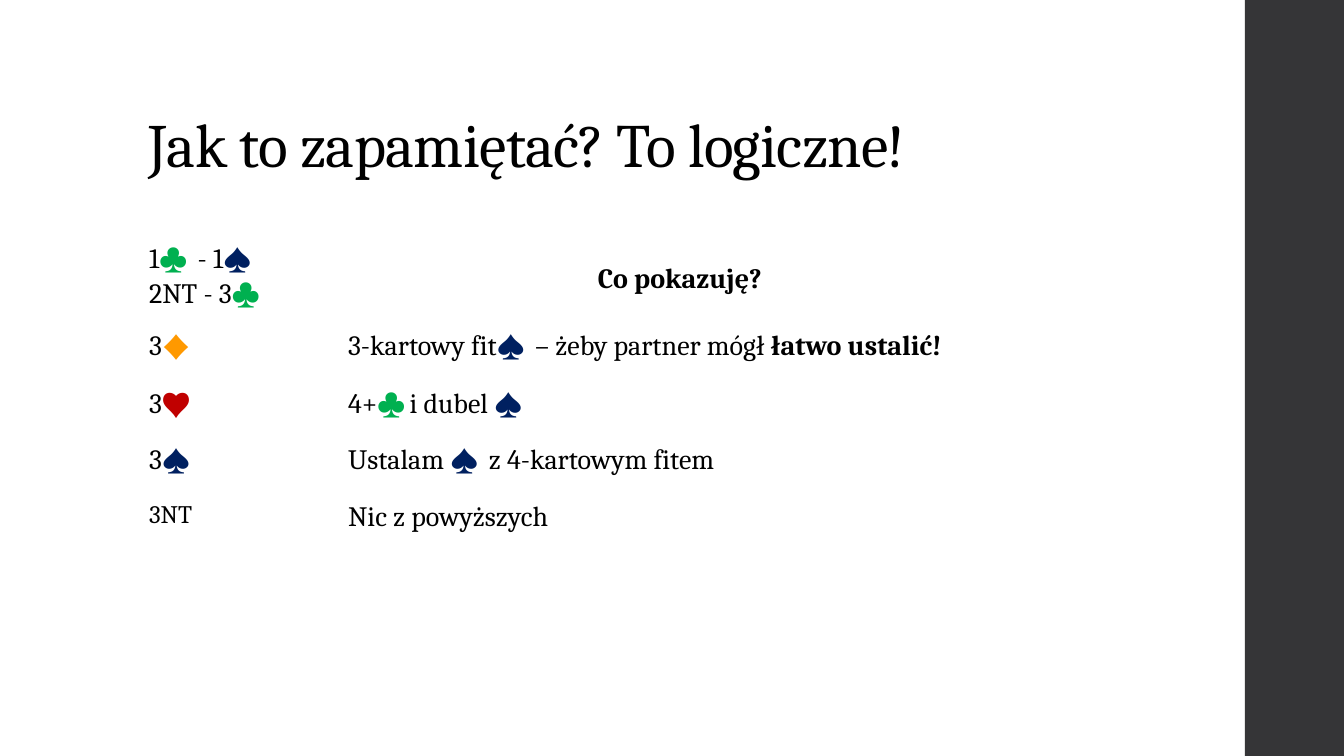
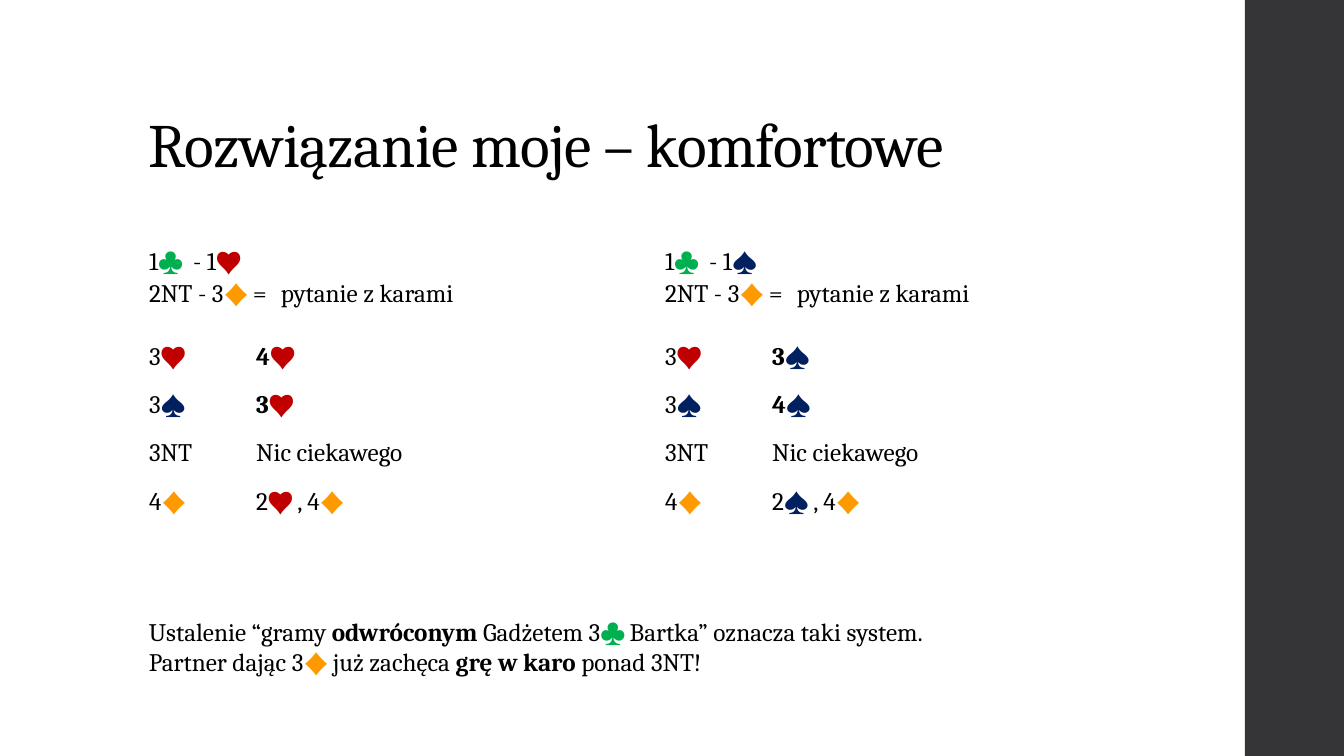
import itertools

import pptx
import pptx.dml.color
import pptx.enum.shapes
import pptx.enum.text
import pptx.util

PX = 12192000 / 1344  # EMU in one px
MIDDLE = pptx.enum.text.MSO_ANCHOR.MIDDLE
BOTTOM = pptx.enum.text.MSO_ANCHOR.BOTTOM
CENTER = pptx.enum.text.PP_ALIGN.CENTER


class Theme:
    text, band = "000000", "353537"
    suits = {"♣": "00B050", "♦": "FF9900", "♥": "C00000", "♠": "002060"}
    font, suit_font = "Cambria", "Lato"
    title, large, body = 44, 20, 18
    title_spacing, wide_spacing = -50, 300  # hundredths of a point


def px(*lengths):
    return [pptx.util.Emu(round(n * PX)) for n in lengths]


def write(tf, text, size, spacing=0):
    """One paragraph a line; *bold*, ~widely spaced~, suits in their colours."""
    for i, line in enumerate(text.split("\n")):
        p = tf.paragraphs[0] if i == 0 else tf.add_paragraph()
        bold = wide = False
        styled = []
        for ch in line:
            if ch == "*":
                bold = not bold
            elif ch == "~":
                wide = not wide
            else:
                suit = ch if ch in Theme.suits else None
                styled.append((ch, (suit, bold and not suit, wide or bool(suit))))
        for (suit, is_bold, is_wide), chars in itertools.groupby(styled, lambda c: c[1]):
            r = p.add_run()
            r.text = "".join(ch for ch, style in chars)
            fmt = {
                "name": Theme.suit_font if suit else Theme.font,
                "size": pptx.util.Pt(size),
                "bold": is_bold,
            }
            for name, value in fmt.items():
                setattr(r.font, name, value)
            colour = Theme.suits.get(suit, Theme.text)
            r.font.color.rgb = pptx.dml.color.RGBColor.from_string(colour)
            track = Theme.wide_spacing if is_wide else spacing
            r._r.get_or_add_rPr().set("spc", str(track))


prs = pptx.Presentation()
prs.slide_width, prs.slide_height = px(1344, 756)

# Content: tables are (left, top, column widths, row heights, size, rows)
memory_table = (139, 236, (199, 684), (87, 58, 56, 59, 41), Theme.large, [
    ("1♣ - 1♠\n2NT - 3♣", "*Co pokazuję?*"),
    ("3♦", "3-kartowy fit♠ – żeby partner mógł *łatwo ustalić!*"),
    ("3♥", "4+♣i dubel ♠"),
    ("3♠", "Ustalam ♠ z 4-kartowym fitem"),
    ("3NT", "Nic z powyższych"),
])
answer_tables = [
    (139 + 516 * i, 241, (107, 409), (92, 46, 50, 48, 48), Theme.body, [
        (f"1♣ - 1{major}\n2NT - 3♦~= ~pytanie z karami", ""),
        ("3♥", f"*{after_heart}*{major}"),
        ("3♠", f"*{after_spade}*{major}"),
        ("3NT", "Nic ciekawego"),
        ("4♦", f"2{major}, 4♦"),
    ])
    for i, (major, after_heart, after_spade) in enumerate([("♥", 4, 3), ("♠", 3, 4)])
]
slides = [
    ("Jak to zapamiętać? To logiczne!", [memory_table]),
    ("Rozwiązanie moje – komfortowe", answer_tables),
]

for title, tables in slides:
    s = prs.slides.add_slide(prs.slide_layouts[6])

    # Side band
    sp = s.shapes.add_shape(pptx.enum.shapes.MSO_SHAPE.RECTANGLE, *px(1245, 0, 99, 756))
    sp.shadow.inherit = False
    sp.fill.solid()
    sp.fill.fore_color.rgb = pptx.dml.color.RGBColor.from_string(Theme.band)
    sp.line.fill.background()

    # Title
    tf = s.shapes.add_textbox(*px(139, 40, 1068, 146)).text_frame
    tf.word_wrap = True
    tf.vertical_anchor = BOTTOM
    write(tf, title, Theme.title, Theme.title_spacing)
    tf.paragraphs[0].line_spacing = 0.9

    # Bidding tables
    for left, top, widths, heights, size, rows in tables:
        frame = s.shapes.add_table(
            len(rows), len(widths), *px(left, top, sum(widths), sum(heights)))
        table = frame.table
        table.first_row = table.horz_banding = False
        for column, width in zip(table.columns, px(*widths)):
            column.width = width
        for row, height in zip(table.rows, px(*heights)):
            row.height = height
        for y, row in enumerate(rows):
            for x, text in enumerate(row):
                cell = table.cell(y, x)
                cell.fill.background()
                if size == Theme.body and y > 0:
                    cell.vertical_anchor = MIDDLE
                write(cell.text_frame, text, Theme.body if text == "3NT" else size)
        head = table.cell(0, 1)
        if head.text_frame.text:
            head.vertical_anchor = MIDDLE
            head.text_frame.paragraphs[0].alignment = CENTER
        else:
            table.cell(0, 0).merge(head)

# Closing note on the last slide
tf = s.shapes.add_textbox(*px(139, 611, 1055, 72)).text_frame
tf.word_wrap = True
write(tf, "Ustalenie “gramy *odwróconym* Gadżetem 3♣Bartka” oznacza taki system.\n"
          "Partner dając 3♦już zachęca *grę w karo *ponad 3NT!", Theme.body)

prs.save("out.pptx")
